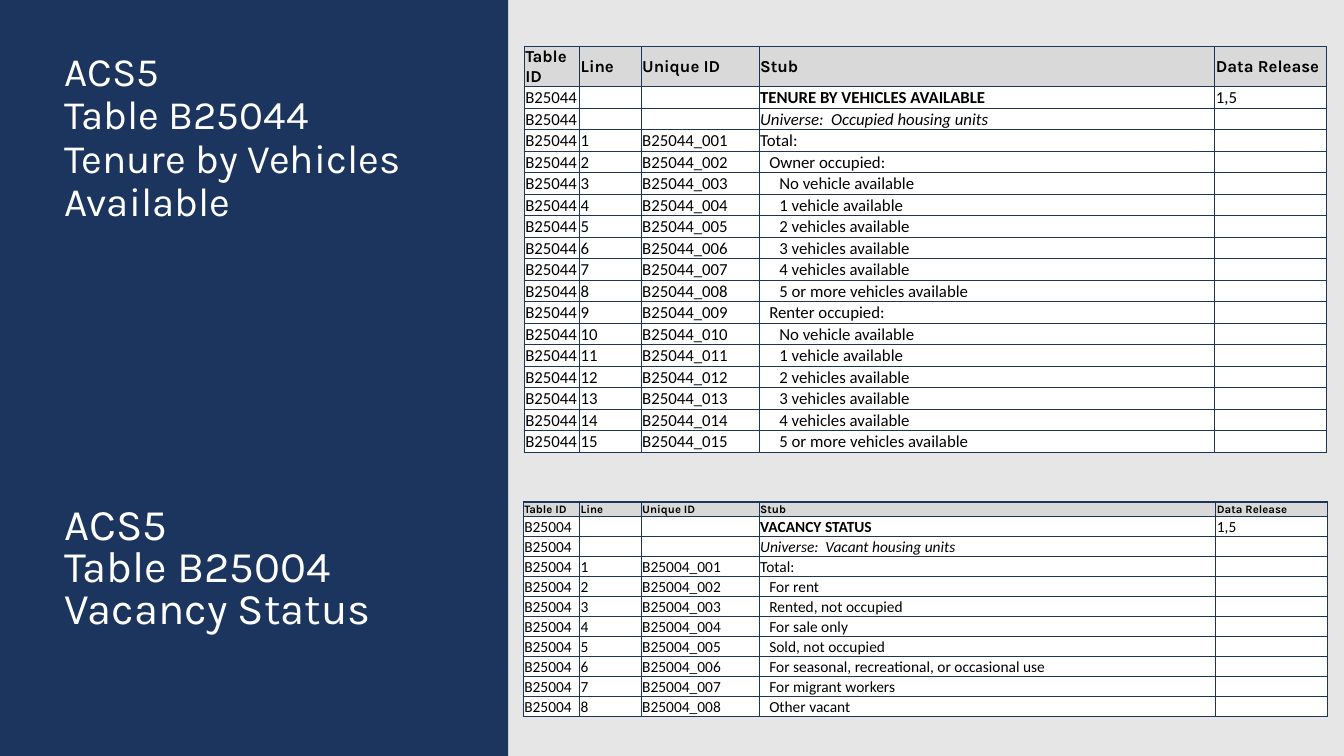
from dataclasses import dataclass

from lxml import etree
from pptx import Presentation
from pptx.dml.color import RGBColor
from pptx.enum.shapes import MSO_SHAPE
from pptx.enum.text import MSO_ANCHOR
from pptx.oxml.ns import qn
from pptx.slide import Slide
from pptx.util import Inches, Pt

RECTANGLE = MSO_SHAPE.RECTANGLE
TOP, MIDDLE, BOTTOM = MSO_ANCHOR.TOP, MSO_ANCHOR.MIDDLE, MSO_ANCHOR.BOTTOM


@dataclass(frozen=True)
class Theme:
    navy: str = "1C355E"
    background: str = "E7E6E6"
    header_fill: str = "D9D9D9"
    white: str = "FFFFFF"
    black: str = "000000"
    heading_font: str = "Karla"
    body_font: str = "Calibri"
    upper_title_size: float = 28.8
    lower_title_size: float = 31.2
    upper_header_size: float = 12
    upper_body_size: float = 12
    lower_header_size: float = 8.1
    lower_body_size: float = 11
    border_width: float = 1


@dataclass(frozen=True)
class Title:
    text: str
    top: float
    height: float
    size: float
    line_spacing: float


@dataclass(frozen=True)
class Entry:
    text: str
    level: int = 0


@dataclass(frozen=True)
class CensusTable:
    table_id: str
    subject: str
    universe: str
    entries: list[Entry]
    left: float
    top: float
    height: float
    column_widths: list[float]
    header_height: float
    row_height: float
    header_size: float
    body_size: float


@dataclass(frozen=True)
class CellStyle:
    font: str
    size: float
    fill: str
    anchor: MSO_ANCHOR
    bold: bool = False
    italic: bool = False
    level: int = 0


THEME = Theme()
HEADERS = ["Table ID", "Line", "Unique ID", "Stub", "Data Release"]
STUB_COLUMN = HEADERS.index("Stub")
RELEASE = "1,5"
CELL_INSET = 0.01
INDENT_STEP = 0.1

VEHICLE_COUNTS = [
    Entry(text, 2)
    for text in [
        "No vehicle available",
        "1 vehicle available",
        "2 vehicles available",
        "3 vehicles available",
        "4 vehicles available",
        "5 or more vehicles available",
    ]
]
VACANCY_KINDS = [
    Entry(text, 1)
    for text in [
        "For rent",
        "Rented, not occupied",
        "For sale only",
        "Sold, not occupied",
        "For seasonal, recreational, or occasional use",
        "For migrant workers",
        "Other vacant",
    ]
]
TITLES = [
    Title("ACS5\vTable B25044\vTenure by Vehicles Available", 0.46, 1.98, THEME.upper_title_size, 0.9),
    Title("ACS5\vTable B25004\vVacancy Status", 4.98, 1.45, THEME.lower_title_size, 0.8),
]
TABLES = [
    CensusTable(
        "B25004", "VACANCY STATUS", "Universe:  Vacant housing units",
        [Entry("Total:"), *VACANCY_KINDS],
        5.19, 4.98, 2.06, [0.56, 0.61, 1.17, 4.53, 1.11], 0.14, 0.14,
        THEME.lower_header_size, THEME.lower_body_size,
    ),
    CensusTable(
        "B25044", "TENURE BY VEHICLES AVAILABLE", "Universe:  Occupied housing units",
        [Entry("Total:"), Entry("Owner occupied:", 1), *VEHICLE_COUNTS,
         Entry("Renter occupied:", 1), *VEHICLE_COUNTS],
        5.2, 0.46, 4, [0.55, 0.61, 1.17, 4.52, 1.11], 0.16, 0.21,
        THEME.upper_header_size, THEME.upper_body_size,
    ),
]


def color(value: str) -> RGBColor:
    return RGBColor.from_string(value)


def add_panel(slide: Slide) -> None:
    panel = slide.shapes.add_shape(RECTANGLE, 0, 0, Inches(5.04), Inches(7.5))
    panel.shadow.inherit = False
    panel.fill.solid()
    panel.fill.fore_color.rgb = color(THEME.navy)
    panel.line.fill.background()


def add_title(slide: Slide, title: Title) -> None:
    box = slide.shapes.add_textbox(Inches(0.54), Inches(title.top), Inches(4.36), Inches(title.height))
    frame = box.text_frame
    frame.word_wrap = True
    frame.vertical_anchor = TOP
    paragraph = frame.paragraphs[0]
    paragraph.text = title.text
    paragraph.line_spacing = title.line_spacing
    for run in paragraph.runs:
        run.font.name = THEME.heading_font
        run.font.size = Pt(title.size)
        run.font.color.rgb = color(THEME.white)


def add_borders(cell) -> None:
    properties = cell._tc.get_or_add_tcPr()
    for side in ("lnL", "lnR", "lnT", "lnB"):
        line = etree.SubElement(properties, qn(f"a:{side}"), w=str(Pt(THEME.border_width)))
        fill = etree.SubElement(line, qn("a:solidFill"))
        etree.SubElement(fill, qn("a:srgbClr"), val=THEME.navy)


def fill_cell(cell, text: str, style: CellStyle) -> None:
    add_borders(cell)
    cell.fill.solid()
    cell.fill.fore_color.rgb = color(style.fill)
    cell.vertical_anchor = style.anchor
    cell.margin_left = Inches(style.level * INDENT_STEP or CELL_INSET)
    cell.margin_top = cell.margin_right = Inches(CELL_INSET)
    cell.margin_bottom = 0
    paragraph = cell.text_frame.paragraphs[0]
    if not text:
        etree.SubElement(paragraph._p, qn("a:endParaRPr"), sz=str(round(style.size * 100)))
        return
    paragraph.text = text
    font = paragraph.runs[0].font
    font.name = style.font
    font.size = Pt(style.size)
    font.bold = style.bold
    font.italic = style.italic
    font.color.rgb = color(THEME.black)


def add_census_table(slide: Slide, census: CensusTable) -> None:
    rows = [
        HEADERS,
        [census.table_id, "", "", census.subject, RELEASE],
        [census.table_id, "", "", census.universe, ""],
    ]
    for number, entry in enumerate(census.entries, 1):
        rows.append([census.table_id, str(number), f"{census.table_id}_{number:03}", entry.text, ""])
    levels = [0, 0, 0] + [entry.level for entry in census.entries]
    frame = slide.shapes.add_table(
        len(rows), len(HEADERS), Inches(census.left), Inches(census.top),
        Inches(sum(census.column_widths)), Inches(census.height),
    )
    table = frame.table
    table.first_row = table.horz_banding = False
    for column, width in zip(table.columns, census.column_widths):
        column.width = Inches(width)
    header_style = CellStyle(THEME.heading_font, census.header_size, THEME.header_fill, MIDDLE, bold=True)
    for row_index, texts in enumerate(rows):
        table.rows[row_index].height = Inches(census.row_height if row_index else census.header_height)
        for column_index, text in enumerate(texts):
            in_stub = column_index == STUB_COLUMN
            body_style = CellStyle(
                THEME.body_font, census.body_size, THEME.white, BOTTOM,
                bold=in_stub and row_index == 1,
                italic=in_stub and row_index == 2,
                level=levels[row_index] if in_stub else 0,
            )
            fill_cell(table.cell(row_index, column_index), text, body_style if row_index else header_style)


def main() -> None:
    presentation = Presentation()
    presentation.slide_width, presentation.slide_height = Inches(13.33), Inches(7.5)
    slide = presentation.slides.add_slide(presentation.slide_layouts[6])
    slide.background.fill.solid()
    slide.background.fill.fore_color.rgb = color(THEME.background)
    add_panel(slide)
    for census in TABLES:
        add_census_table(slide, census)
    for title in TITLES:
        add_title(slide, title)
    presentation.save("out.pptx")


if __name__ == "__main__":
    main()
